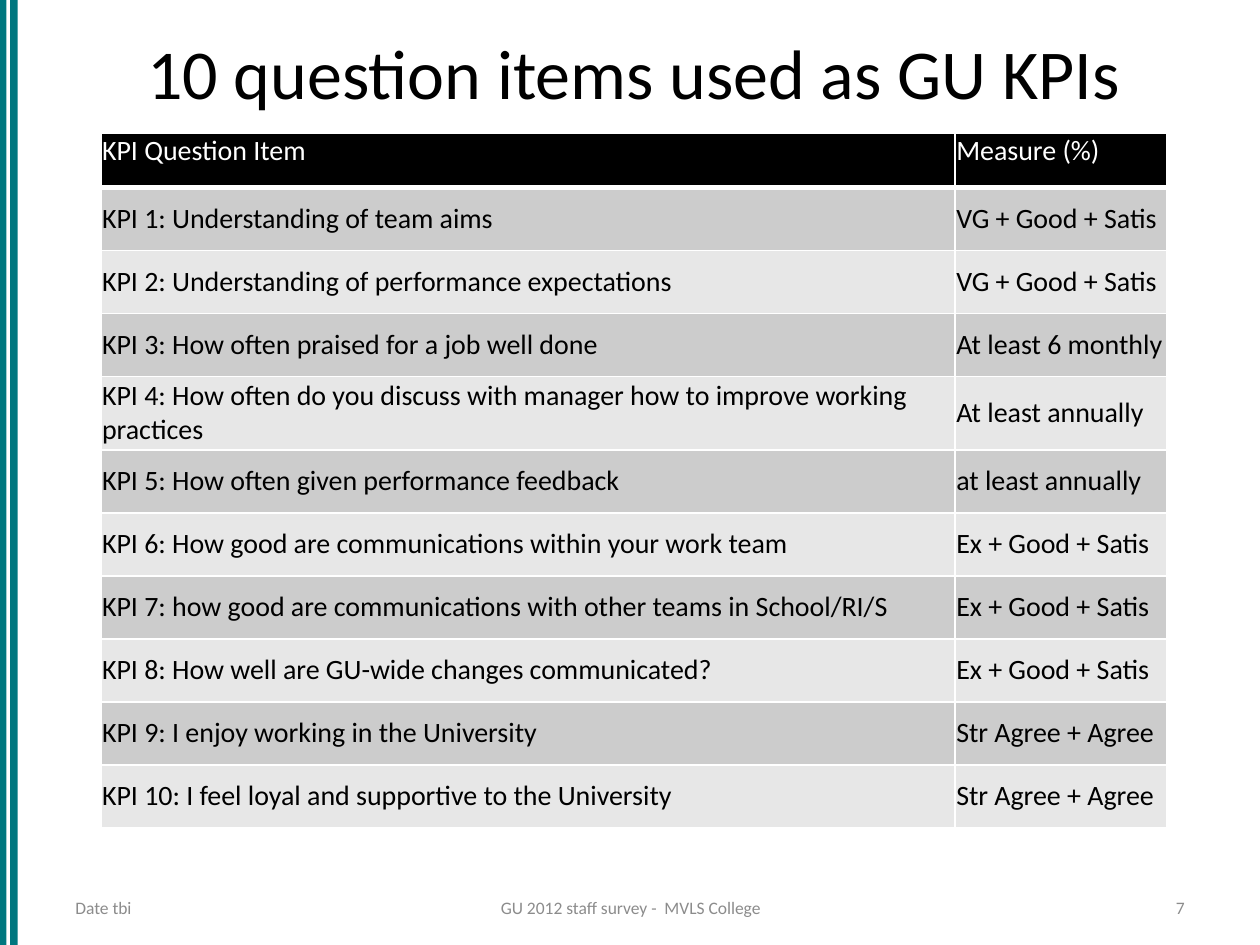
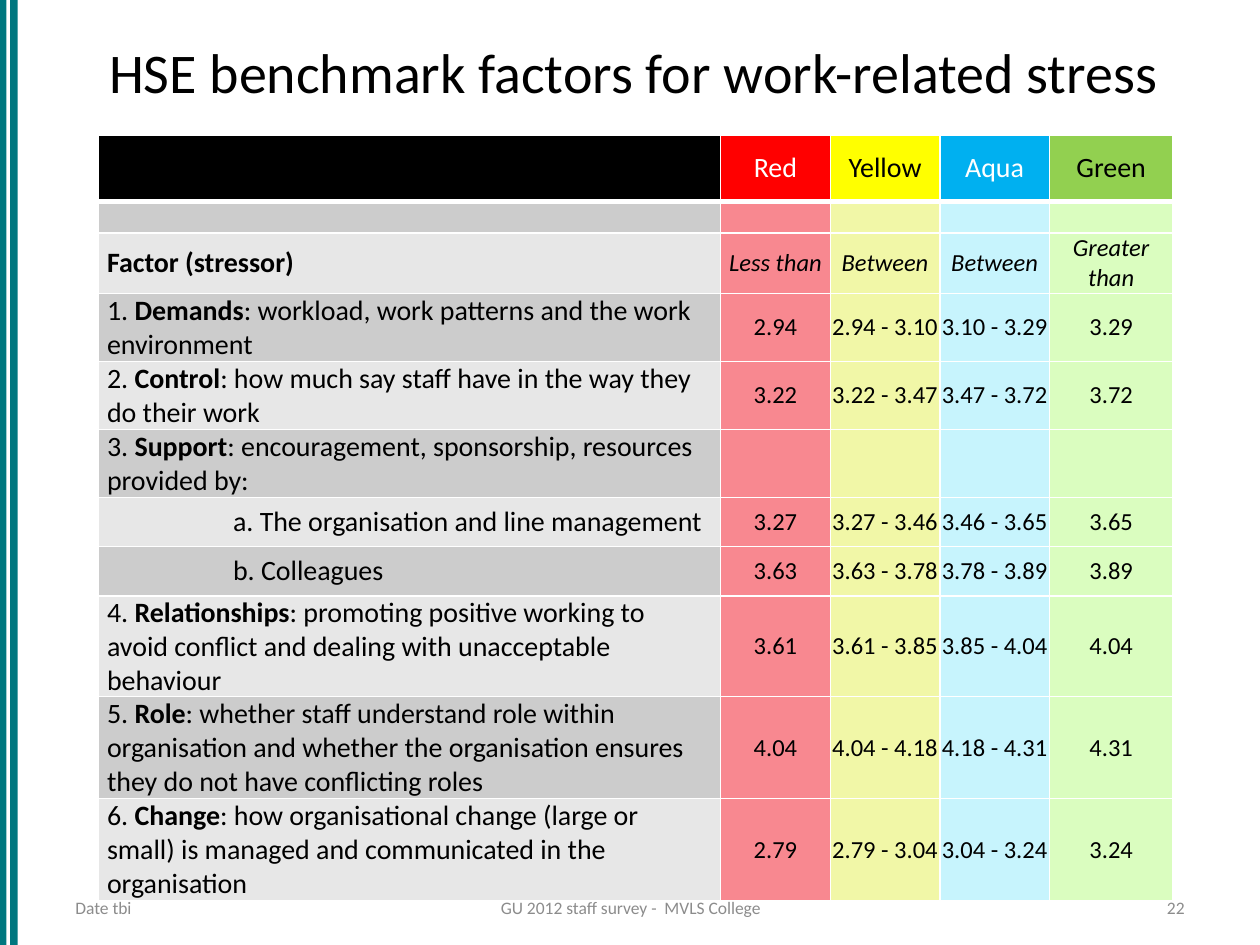
from lxml.etree import SubElement
from pptx import Presentation
from pptx.dml.color import RGBColor
from pptx.enum.shapes import MSO_SHAPE
from pptx.enum.text import MSO_ANCHOR, PP_ALIGN
from pptx.oxml.ns import qn
from pptx.util import Inches, Pt

FONT = "Calibri"
BLACK, WHITE, TEAL, GREY = "000000", "FFFFFF", "00777F", "8C8C8C"
BANDS = ["CCCCCC", "E7E7E7"]
FOOTER_DATE = "Date tbi"
FOOTER_TEXT = "GU 2012 staff survey -  MVLS College"

KPIS = [
    ("Understanding of team aims", "VG + Good + Satis"),
    ("Understanding of performance expectations", "VG + Good + Satis"),
    ("How often praised for a job well done", "At least 6 monthly"),
    ("How often do you discuss with manager how to improve working practices",
     "At least annually"),
    ("How often given performance feedback", "at least annually"),
    ("How good are communications within your work team", "Ex + Good + Satis"),
    ("how good are communications with other teams in School/RI/S",
     "Ex + Good + Satis"),
    ("How well are GU-wide changes communicated?", "Ex + Good + Satis"),
    ("I enjoy working in the University", "Str Agree + Agree"),
    ("I feel loyal and supportive to the University", "Str Agree + Agree"),
]

# Rating: label, qualifier, header fill, header text, column tint
RATINGS = [
    ("Red", "Less than", "FF0000", WHITE, "F88890"),
    ("Yellow", "Between", "FFFF00", BLACK, "F1F7A7"),
    ("Aqua", "Between", "00B0F0", WHITE, "C7F4FD"),
    ("Green", "Greater than", "92D050", BLACK, "DAFDBF"),
]

# Factor (bold between asterisks), its three thresholds, row height, indent
FACTORS = [
    ("1. *Demands*: workload, work patterns and the work environment",
     ("2.94", "3.10", "3.29"), 0.54, 0),
    ("2. *Control*: how much say staff have in the way they do their work",
     ("3.22", "3.47", "3.72"), 0.54, 0),
    ("3. *Support*: encouragement, sponsorship, resources provided by:",
     None, 0.54, 0),
    ("a. The organisation and line management",
     ("3.27", "3.46", "3.65"), 0.39, 1),
    ("b. Colleagues", ("3.63", "3.78", "3.89"), 0.39, 1),
    ("4. *Relationships*: promoting positive working to avoid conflict and "
     "dealing with unacceptable behaviour",
     ("3.61", "3.85", "4.04"), 0.58, 0),
    ("5. *Role*: whether staff understand role within organisation and whether "
     "the organisation ensures they do not have conflicting roles",
     ("4.04", "4.18", "4.31"), 0.81, 0),
    ("6. *Change*: how organisational change (large or small) is managed and "
     "communicated in the organisation",
     ("2.79", "3.04", "3.24"), 0.81, 0),
]


def rgb(value):
    return RGBColor.from_string(value)


def style_run(r, size, color, bold=False, italic=False):
    r.font.name = FONT
    r.font.size = Pt(size)
    r.font.color.rgb = rgb(color)
    r.font.bold = bold
    r.font.italic = italic


def add_text(slide, text, left, top, width, height, size, color, align):
    box = slide.shapes.add_textbox(Inches(left), Inches(top), Inches(width), Inches(height))
    tf = box.text_frame
    tf.word_wrap = True
    tf.vertical_anchor = MSO_ANCHOR.MIDDLE
    p = tf.paragraphs[0]
    p.text = text
    p.alignment = align
    style_run(p.runs[0], size, color)


def add_stripe(slide, left, width):
    sp = slide.shapes.add_shape(
        MSO_SHAPE.RECTANGLE, Inches(left), 0, Inches(width), Inches(7.5))
    sp.shadow.inherit = False
    sp.fill.solid()
    sp.fill.fore_color.rgb = rgb(TEAL)
    sp.line.fill.background()


def add_base_slide(prs, title, title_size, number):
    """Add a slide with the side stripes, title and footer."""
    slide = prs.slides.add_slide(prs.slide_layouts[6])
    add_stripe(slide, 0.08, 0.06)
    add_stripe(slide, 0, 0.05)
    add_text(slide, title, 0.5, 0.13, 9.06, 0.87, title_size, BLACK, PP_ALIGN.CENTER)
    for text, left, width, align in [
        (FOOTER_DATE, 0.5, 2.33, PP_ALIGN.LEFT),
        (FOOTER_TEXT, 3.42, 3.17, PP_ALIGN.CENTER),
        (str(number), 7.17, 2.33, PP_ALIGN.RIGHT),
    ]:
        add_text(slide, text, left, 7.06, width, 0.29, 10, GREY, align)
    return slide


def add_table(slide, left, top, widths, heights):
    frame = slide.shapes.add_table(
        len(heights), len(widths), Inches(left), Inches(top),
        Inches(sum(widths)), Inches(sum(heights)))
    table = frame.table
    table.first_row = table.horz_banding = False
    for column, width in zip(table.columns, widths):
        column.width = Inches(width)
    for row, height in zip(table.rows, heights):
        row.height = Inches(height)
    return table


def set_borders(cell, bottom):
    tc_pr = cell._tc.get_or_add_tcPr()
    for side, width in zip("LRTB", (1, 1, 1, bottom)):
        ln = SubElement(tc_pr, qn(f"a:ln{side}"), w=str(Pt(width)))
        SubElement(SubElement(ln, qn("a:solidFill")), qn("a:srgbClr"), val=WHITE)


def fill_cell(cell, text, fill, size=16, color=BLACK, align=PP_ALIGN.LEFT,
              anchor=MSO_ANCHOR.MIDDLE, inset=0.01, indent=0, bottom=1,
              italic=False):
    """Format a cell; parts of its text between asterisks become bold."""
    set_borders(cell, bottom)
    cell.fill.solid()
    cell.fill.fore_color.rgb = rgb(fill)
    cell.vertical_anchor = anchor
    cell.margin_left = cell.margin_right = Inches(inset)
    cell.margin_top = cell.margin_bottom = 0
    p = cell.text_frame.paragraphs[0]
    p.alignment = align
    if indent:
        p._p.get_or_add_pPr().set("marL", str(Inches(indent)))
    for i, part in enumerate(text.split("*")):
        if part:
            r = p.add_run()
            r.text = part
            style_run(r, size, color, bold=i % 2 == 1, italic=italic)
    if not text:
        SubElement(p._p, qn("a:endParaRPr"), sz=str(size * 100))


def add_kpi_slide(prs):
    slide = add_base_slide(prs, "10 question items used as GU KPIs", 40, 7)
    heights = [0.43] + [0.5] * len(KPIS)
    heights[4] = 0.58
    table = add_table(slide, 0.8, 1.06, [6.78, 1.68], heights)
    for col, text in enumerate(["KPI Question Item", "Measure (%)"]):
        fill_cell(table.cell(0, col), text, BLACK, color=WHITE,
                  anchor=MSO_ANCHOR.TOP, bottom=3)
    for row, (item, measure) in enumerate(KPIS, 1):
        band = BANDS[(row - 1) % 2]
        fill_cell(table.cell(row, 0), f"KPI {row}: {item}", band)
        fill_cell(table.cell(row, 1), measure, band)


def rating_ranges(limits):
    """Turn three thresholds into the texts of the four rating columns."""
    if limits is None:
        return [""] * 4
    low, mid, high = limits
    return [low, f"{low} - {mid}", f"{mid} - {high}", high]


def add_stress_slide(prs):
    slide = add_base_slide(prs, "HSE benchmark factors for work-related stress", 32, 22)
    rows = [("", [""] * 4, 0.25, 0),
            ("*Factor (stressor)*", [rating[1] for rating in RATINGS], 0.48, 0)]
    rows += [(factor, rating_ranges(limits), height, indent)
             for factor, limits, height, indent in FACTORS]
    table = add_table(slide, 0.78, 1.07, [4.94, 0.87, 0.87, 0.87, 0.98],
                      [0.53] + [row[2] for row in rows])

    fill_cell(table.cell(0, 0), "", BLACK, bottom=3)
    for col, (label, _, fill, color, _) in enumerate(RATINGS, 1):
        fill_cell(table.cell(0, col), label, fill, color=color,
                  align=PP_ALIGN.CENTER, bottom=3)
    for row, (factor, values, _, indent) in enumerate(rows, 1):
        fill_cell(table.cell(row, 0), factor, BANDS[(row - 1) % 2],
                  size=16 if factor else 14, inset=0.07, indent=indent)
        for col, (value, rating) in enumerate(zip(values, RATINGS), 1):
            fill_cell(table.cell(row, col), value, rating[4], size=14,
                      align=PP_ALIGN.CENTER, italic=row == 2)


def main():
    prs = Presentation()
    prs.slide_width, prs.slide_height = Inches(10), Inches(7.5)
    add_kpi_slide(prs)
    add_stress_slide(prs)
    prs.save("out.pptx")


if __name__ == "__main__":
    main()
